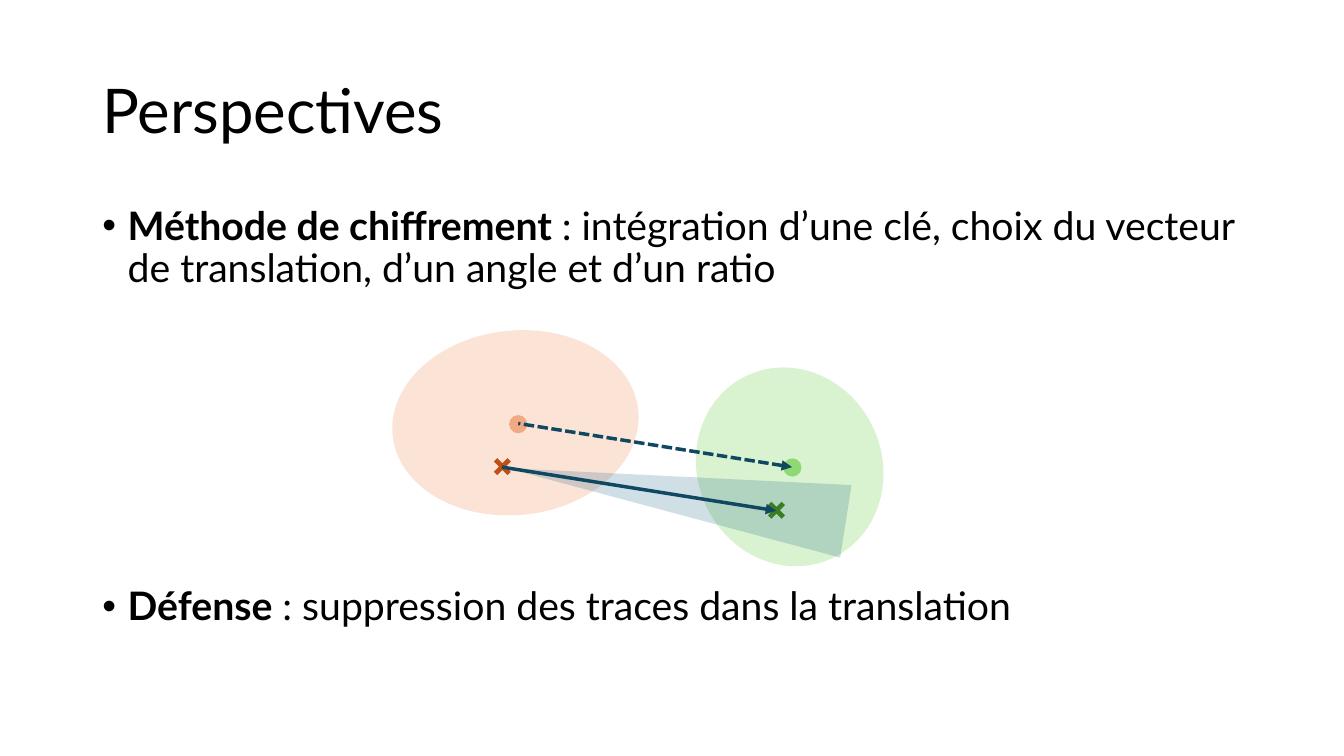
from lxml.etree import SubElement
from pptx import Presentation
from pptx.dml.color import RGBColor
from pptx.enum.dml import MSO_LINE
from pptx.enum.shapes import MSO_CONNECTOR, MSO_SHAPE
from pptx.enum.text import MSO_ANCHOR
from pptx.oxml.ns import qn
from pptx.util import Cm, Pt

COLORS = {
    "text": "000000",
    "source zone": "FBE3D6",
    "target zone": "D9F2D0",
    "angle": "156082",
    "source dot": "F2AA84",
    "target dot": "8ED973",
    "source cross": "C04F15",
    "target cross": "3B7D23",
    "arrow": "104862",
}
LEFT, WIDTH = 2.33, 29.21

presentation = Presentation()
presentation.slide_width = Cm(33.87)
presentation.slide_height = Cm(19.05)
slide = presentation.slides.add_slide(presentation.slide_layouts[6])


def add_text(top, height, size, runs, bullet=False):
    text_frame = slide.shapes.add_textbox(Cm(LEFT), Cm(top), Cm(WIDTH), Cm(height)).text_frame
    text_frame.word_wrap = True
    paragraph = text_frame.paragraphs[0]
    paragraph.line_spacing = 0.9
    if bullet:
        properties = paragraph._p.get_or_add_pPr()
        properties.set("marL", str(Cm(0.64)))
        properties.set("indent", str(Cm(-0.64)))
        SubElement(properties, qn("a:buFont"), typeface="Arial")
        SubElement(properties, qn("a:buChar"), char="•")
    for text, bold in runs:
        run = paragraph.add_run()
        run.text = text
        run.font.name = "Lato"
        run.font.size = Pt(size)
        run.font.bold = bold
        run.font.color.rgb = RGBColor.from_string(COLORS["text"])
    return text_frame


# Title and bullets
title = add_text(1.01, 3.68, 44, [("Perspectives", False)])
title.vertical_anchor = MSO_ANCHOR.MIDDLE
add_text(5.08, 2.5, 28, [
    ("Méthode de chiffrement", True),
    (" : intégration d’une clé, choix du vecteur de translation, d’un angle et d’un ratio", False),
], bullet=True)
add_text(14.66, 1.4, 28, [
    ("Défense", True),
    (" : suppression des traces dans la translation", False),
], bullet=True)

# Zones, angle of the translation, centres and points
diagram = [
    ("source zone", MSO_SHAPE.OVAL, 9.88, 8.33, 6.22, 4.65, 354.1),
    ("target zone", MSO_SHAPE.OVAL, 17.36, 9.44, 5.08, 4.65, 65.4),
    ("angle", MSO_SHAPE.ISOSCELES_TRIANGLE, 16.11, 8.13, 1.85, 8.67, 278.9),
    ("source dot", MSO_SHAPE.OVAL, 12.83, 10.46, 0.46, 0.46, 0),
    ("target dot", MSO_SHAPE.OVAL, 19.74, 11.55, 0.46, 0.46, 0),
    ("target cross", MSO_SHAPE.MATH_MULTIPLY, 19.24, 12.53, 0.66, 0.66, 0),
    ("source cross", MSO_SHAPE.MATH_MULTIPLY, 12.33, 11.43, 0.66, 0.66, 0),
]
for part, kind, left, top, width, height, rotation in diagram:
    shape = slide.shapes.add_shape(kind, Cm(left), Cm(top), Cm(width), Cm(height))
    shape.rotation = rotation
    shape.shadow.inherit = False
    shape.fill.solid()
    shape.fill.fore_color.rgb = RGBColor.from_string(COLORS[part])
    shape.line.fill.background()
    if kind == MSO_SHAPE.MATH_MULTIPLY:
        shape.adjustments[0] = 0.18
    if part == "angle":
        color = shape.fill._xPr.find(".//" + qn("a:srgbClr"))
        SubElement(color, qn("a:alpha"), val="20000")

# Translation vectors, drawn from the arrowhead back to the start
vectors = [
    (19.96, 11.77, 13.06, 10.67, MSO_LINE.SQUARE_DOT),
    (19.56, 12.87, 12.65, 11.77, MSO_LINE.SOLID),
]
for head_x, head_y, start_x, start_y, dash in vectors:
    vector = slide.shapes.add_connector(
        MSO_CONNECTOR.STRAIGHT, Cm(head_x), Cm(head_y), Cm(start_x), Cm(start_y))
    vector.line.color.rgb = RGBColor.from_string(COLORS["arrow"])
    vector.line.width = Pt(2.5)
    vector.line.dash_style = dash
    if dash == MSO_LINE.SQUARE_DOT:
        vector.line._ln.find(qn("a:prstDash")).set("val", "sysDash")
    SubElement(vector.line._ln, qn("a:headEnd"), type="triangle")
    SubElement(vector._element.spPr, qn("a:effectLst"))

presentation.save("out.pptx")
